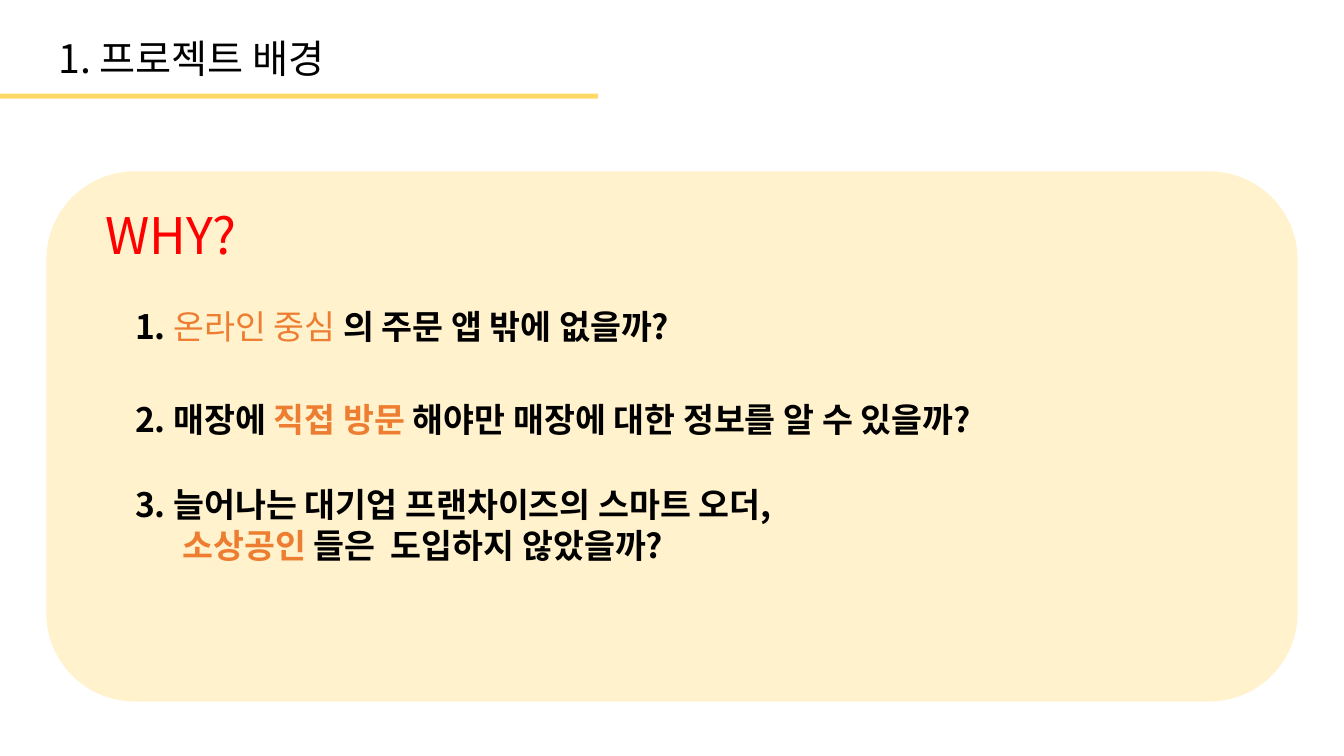
from lxml.etree import SubElement
from pptx import Presentation
from pptx.dml.color import RGBColor
from pptx.enum.shapes import MSO_SHAPE as Shape
from pptx.enum.text import MSO_ANCHOR as Anchor, MSO_AUTO_SIZE as AutoSize, PP_ALIGN as Align
from pptx.oxml.ns import qn
from pptx.util import Inches, Pt

FONT = "Noto Sans CJK KR"
COLORS = {"ink": "000000", "accent": "ED7D31", "alert": "FF0000",
          "card": "FFF2CC", "rule": "FFD966"}

TITLE = [(0, 0, [("1. 프로젝트 배경", "ink", False)])]
WHY = [(0, 0, [("WHY?", "alert", False)])]
QUESTIONS = [
    (0, 0, [("1. ", "ink", True), ("온라인 중심 ", "accent", False),
            ("의 주문 앱 밖에 없을까?", "ink", True)]),
    (38, 0, [("2. 매장에 ", "ink", True), ("직접 방문 ", "accent", True),
             ("해야만 매장에 대한 정보를 알 수 있을까?", "ink", True)]),
    (32, 0, [("3. 늘어나는 대기업 프랜차이즈의 스마트 오더,", "ink", True)]),
    (0, 0.47, [("소상공인", "accent", True),
               (" 들은  도입하지 않았을까?", "ink", True)]),
]
PANELS = [
    (Shape.ROUNDED_RECTANGLE, (0.46, 1.7, 12.41, 5.26), "card"),
    (Shape.RECTANGLE, (0, 0.93, 5.93, 0.05), "rule"),
]


def add_panel(page, kind, place, color):
    panel = page.shapes.add_shape(kind, *map(Inches, place))
    panel.shadow.inherit = False
    panel.fill.solid()
    panel.fill.fore_color.rgb = RGBColor.from_string(COLORS[color])
    panel.line.fill.background()
    return panel


def write(box, place, size, paragraphs):
    for name, length in zip(("left", "top", "width", "height"), place):
        setattr(box, name, Inches(length))
    frame = box.text_frame
    settings = {"word_wrap": True, "auto_size": AutoSize.NONE,
                "vertical_anchor": Anchor.TOP}
    for name, value in settings.items():
        setattr(frame, name, value)
    for index, (gap, indent, spans) in enumerate(paragraphs):
        para = frame.add_paragraph() if index else frame.paragraphs[0]
        para.alignment = Align.LEFT
        para.space_before = Pt(gap)
        properties = para._p.get_or_add_pPr()
        properties.set("marL", str(Inches(indent)))
        properties.set("indent", "0")
        SubElement(properties, qn("a:buNone"))
        for text, color, bold in spans:
            span = para.add_run()
            span.text = text
            for name, value in {"name": FONT, "size": Pt(size), "bold": bold}.items():
                setattr(span.font, name, value)
            span.font.color.rgb = RGBColor.from_string(COLORS[color])
            SubElement(span._r.get_or_add_rPr(), qn("a:ea")).set("typeface", FONT)


def main():
    deck = Presentation()
    deck.slide_width, deck.slide_height = Inches(13.33), Inches(7.5)
    page = deck.slides.add_slide(deck.slide_layouts[1])
    title, body = page.placeholders
    for panel in PANELS:
        title._element.addprevious(add_panel(page, *panel)._element)
    write(title, (0.48, 0.29, 9.77, 0.57), 28, TITLE)
    write(body, (1.24, 2.98, 11.57, 2.68), 24, QUESTIONS)
    write(page.shapes.add_textbox(0, 0, 0, 0), (0.95, 1.98, 1.97, 0.71), 36, WHY)
    deck.save("out.pptx")


if __name__ == "__main__":
    main()
